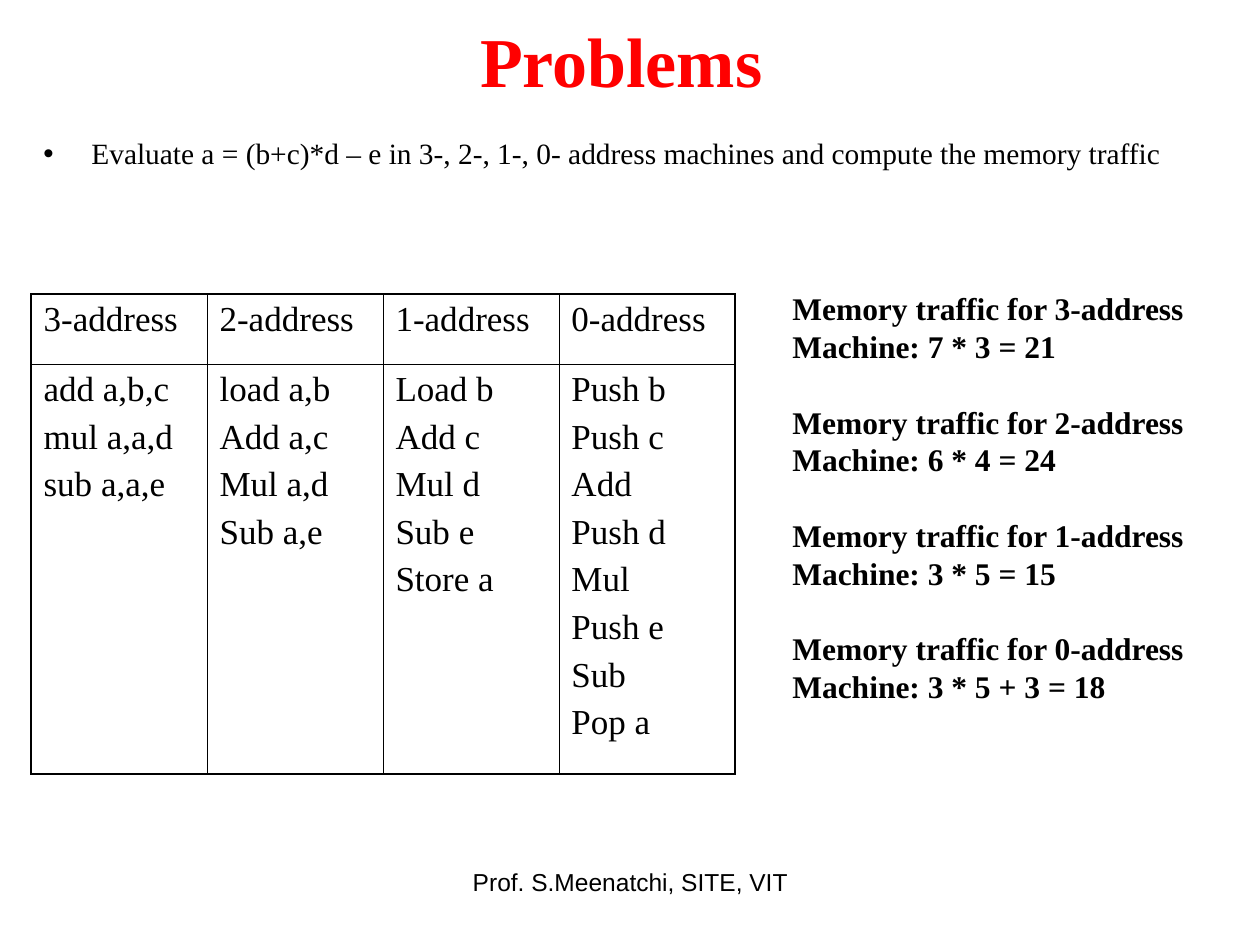
from lxml.etree import SubElement
from pptx import Presentation
from pptx.dml.color import RGBColor
from pptx.enum.text import MSO_ANCHOR, PP_ALIGN
from pptx.oxml.ns import qn
from pptx.util import Emu, Pt

BLACK = RGBColor(0x00, 0x00, 0x00)
RED = RGBColor(0xFF, 0x00, 0x00)
SERIF = "Times New Roman"
SANS = "Arial"

# Content
TITLE = "Problems "
QUESTION = ("Evaluate a = (b+c)*d – e in 3-, 2-, 1-, 0- address machines "
            "and compute the memory traffic")
PROGRAMS = {
    "3-address": ["add a,b,c", "mul a,a,d", "sub a,a,e"],
    "2-address": ["load a,b", "Add a,c", "Mul a,d", "Sub a,e"],
    "1-address": ["Load b", "Add c", "Mul d", "Sub e", "Store a"],
    "0-address": ["Push b", "Push c", "Add", "Push d",
                  "Mul", "Push e", "Sub", "Pop a"],
}
TRAFFIC = [
    ("3-address", "7 * 3 = 21"),
    ("2-address", "6 * 4 = 24"),
    ("1-address", "3 * 5 = 15"),
    ("0-address", "3 * 5 + 3 = 18"),
]
FOOTER = "Prof. S.Meenatchi, SITE, VIT"

# Layout in px: left, top, width, height
TITLE_BOX = (63, 10, 1134, 98)
QUESTION_BOX = (31, 136, 1166, 73)
TRAFFIC_BOX = (780, 283, 426, 428)
FOOTER_BOX = (431, 861, 399, 65)
TABLE_CORNER = (31, 294)
COLUMN_WIDTH = 176
ROW_HEIGHTS = (70, 410)
BULLET_INDENT = 48

# Formats
TITLE_FONT = {"name": SERIF, "size": Pt(40), "bold": True}
QUESTION_FONT = {"name": SERIF, "size": Pt(16.8)}
TABLE_FONT = {"name": SERIF, "size": Pt(20)}
TRAFFIC_FONT = {"name": SERIF, "size": Pt(18), "bold": True}
FOOTER_FONT = {"name": SANS, "size": Pt(14)}
TRAFFIC_LINE = Pt(21.6)
INSTRUCTION_GAP = Pt(5)
OUTER_LINE = Pt(1.08)
INNER_LINE = Pt(0.45)


def px(length):
    return Emu(round(length * 914400 / 126))


def write_lines(text_frame, lines, font_format, color=BLACK, **paragraph_format):
    """Write one paragraph per line and return the paragraphs."""
    for index, line in enumerate(lines):
        paragraph = (text_frame.add_paragraph() if index
                     else text_frame.paragraphs[0])
        run = paragraph.add_run()
        run.text = line
        run.font.color.rgb = color
        for name, value in font_format.items():
            setattr(run.font, name, value)
        for name, value in paragraph_format.items():
            if index or name != "space_before":
                setattr(paragraph, name, value)
    return text_frame.paragraphs


def add_text(slide, box, lines, font_format, wrap=True, **paragraph_format):
    text_frame = slide.shapes.add_textbox(*map(px, box)).text_frame
    text_frame.word_wrap = wrap
    return write_lines(text_frame, lines, font_format, **paragraph_format)


def add_bullet(paragraph, indent):
    properties = paragraph._p.get_or_add_pPr()
    properties.set("marL", str(indent))
    properties.set("indent", str(-indent))
    SubElement(properties, qn("a:buFont"), typeface=SANS)
    SubElement(properties, qn("a:buChar"), char="•")


def set_borders(cell, widths):
    properties = cell._tc.get_or_add_tcPr()
    for side, width in widths.items():
        line = SubElement(properties, qn(f"a:{side}"), w=str(int(width)))
        fill = SubElement(line, qn("a:solidFill"))
        SubElement(fill, qn("a:srgbClr"), val=str(BLACK))


def add_program_table(slide):
    rows = [[[name] for name in PROGRAMS], list(PROGRAMS.values())]
    last_row, last_column = len(rows) - 1, len(PROGRAMS) - 1
    size = (COLUMN_WIDTH * len(PROGRAMS), sum(ROW_HEIGHTS))
    table = slide.shapes.add_table(
        len(rows), len(PROGRAMS), *map(px, TABLE_CORNER + size)).table
    table.first_row = table.horz_banding = False
    for column in table.columns:
        column.width = px(COLUMN_WIDTH)
    for row, height in zip(table.rows, ROW_HEIGHTS):
        row.height = px(height)

    for r, row in enumerate(rows):
        for c, lines in enumerate(row):
            cell = table.cell(r, c)
            write_lines(cell.text_frame, lines, TABLE_FONT,
                        space_before=INSTRUCTION_GAP)
            outer = {"lnL": c == 0, "lnR": c == last_column,
                     "lnT": r == 0, "lnB": r == last_row}
            set_borders(cell, {side: OUTER_LINE if is_outer else INNER_LINE
                               for side, is_outer in outer.items()})
            cell.fill.background()


def main():
    presentation = Presentation()
    presentation.slide_width, presentation.slide_height = px(1260), px(945)
    slide = presentation.slides.add_slide(presentation.slide_layouts[6])

    # Title
    title = slide.shapes.add_textbox(*map(px, TITLE_BOX)).text_frame
    title.word_wrap = True
    title.vertical_anchor = MSO_ANCHOR.MIDDLE
    write_lines(title, [TITLE], TITLE_FONT, RED, alignment=PP_ALIGN.CENTER)

    # Question
    question = add_text(slide, QUESTION_BOX, [QUESTION], QUESTION_FONT,
                        line_spacing=0.8)
    add_bullet(question[0], px(BULLET_INDENT))

    # Programs for each machine
    add_program_table(slide)

    # Memory traffic, one pair of lines per machine
    traffic_lines = [line for machine, total in TRAFFIC
                     for line in (f"Memory traffic for {machine}",
                                  f"Machine: {total}")]
    paragraphs = add_text(slide, TRAFFIC_BOX, traffic_lines, TRAFFIC_FONT,
                          wrap=False, line_spacing=TRAFFIC_LINE)
    for paragraph in paragraphs[2::2]:
        paragraph.space_before = TRAFFIC_LINE

    # Footer
    add_text(slide, FOOTER_BOX, [FOOTER], FOOTER_FONT,
             alignment=PP_ALIGN.CENTER)

    presentation.save("out.pptx")


if __name__ == "__main__":
    main()
